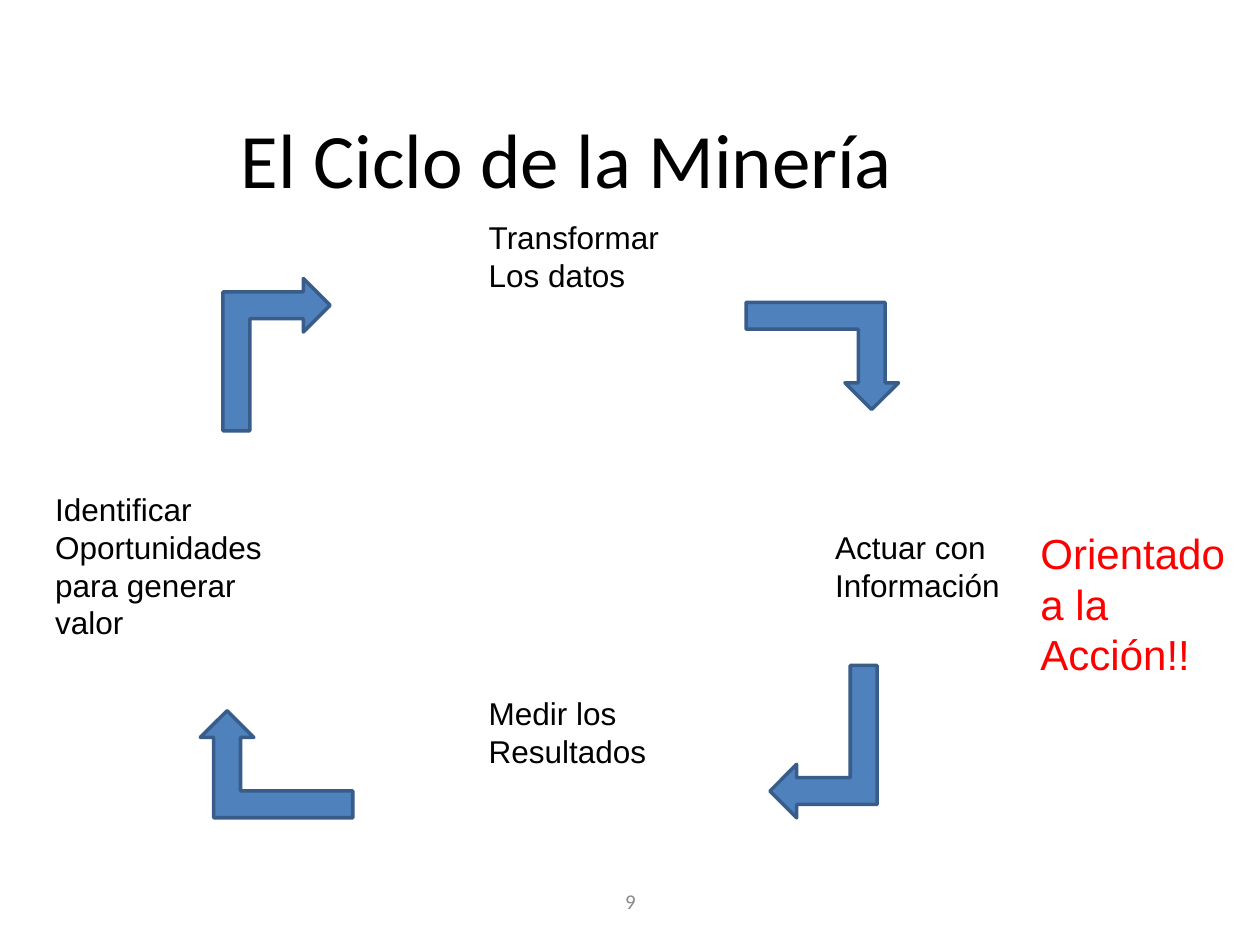
import pptx
import pptx.util
import pptx.dml.color
import pptx.enum.shapes
import pptx.enum.text

Pt = pptx.util.Pt
Align = pptx.enum.text.PP_ALIGN
Anchor = pptx.enum.text.MSO_ANCHOR

COLORS = {"text": "000000", "page": "898989", "alert": "FF0000",
          "fill": "4F81BD", "edge": "385D8A"}


def rgb(name):
    return pptx.dml.color.RGBColor.from_string(COLORS[name])


def add_text(slide, box, text, size=18, font="Arial", color="text", center=False):
    frame = slide.shapes.add_textbox(*map(Pt, box)).text_frame
    frame.word_wrap = True
    frame.vertical_anchor = Anchor.MIDDLE if center else Anchor.TOP
    frame.text = text
    for para in frame.paragraphs:
        para.alignment = Align.CENTER if center else Align.LEFT
        para.font.size = Pt(size)
        para.font.name = font
        para.font.color.rgb = rgb(color)


def add_arrow(slide, box, turn):
    kind = pptx.enum.shapes.MSO_SHAPE.BENT_UP_ARROW
    arrow = slide.shapes.add_shape(kind, *map(Pt, box))
    # Mirrored, so that the arrows run clockwise
    arrow._element.spPr.xfrm.set("flipH", "1")
    arrow.rotation = turn
    arrow.shadow.inherit = False
    arrow.fill.solid()
    arrow.fill.fore_color.rgb = rgb("fill")
    arrow.line.color.rgb = rgb("edge")
    arrow.line.width = Pt(2)


def add_cycle(slide, box):
    left, top, width, height = box
    # Steps of the cycle: offset, height, text
    steps = [
        (0, 155.5, 93.6, "Identificar\nOportunidades para generar valor"),
        (247.7, 0, 50.4, "Transformar\nLos datos"),
        (445.7, 177.1, 72, "Actuar con Información"),
        (247.7, 272.2, 72, "Medir los Resultados"),
    ]
    for x, y, tall, text in steps:
        add_text(slide, (left + x, top + y, 133.9, tall), text)

    # Arrows between the steps, each a quarter turn further
    spots = [(90, 51.1), (401.8, 51.8), (402.5, 272.2), (90, 285.1)]
    for i, (x, y) in enumerate(spots):
        add_arrow(slide, (left + x, top + y, 87.1, 61.2), (i + 1) * 90 % 360)

    # Remark beside the action step
    add_text(slide, (left + width - 124.6, top + 177.1, 124.6, 93.6),
             "Orientado a la Acción!!", 24, color="alert")


def main():
    deck = pptx.Presentation()
    deck.slide_width, deck.slide_height = Pt(720), Pt(540)
    slide = deck.slides.add_slide(deck.slide_layouts[6])
    # Title and page number
    add_text(slide, (0, 36, 648, 108), "El Ciclo de la Minería", 44, "Calibri", center=True)
    add_text(slide, (246.2, 500.4, 228.2, 28.8), "9", 12, "Calibri", "page", True)
    add_cycle(slide, (24.5, 121, 687.6, 346.3))
    deck.save("out.pptx")


if __name__ == "__main__":
    main()
